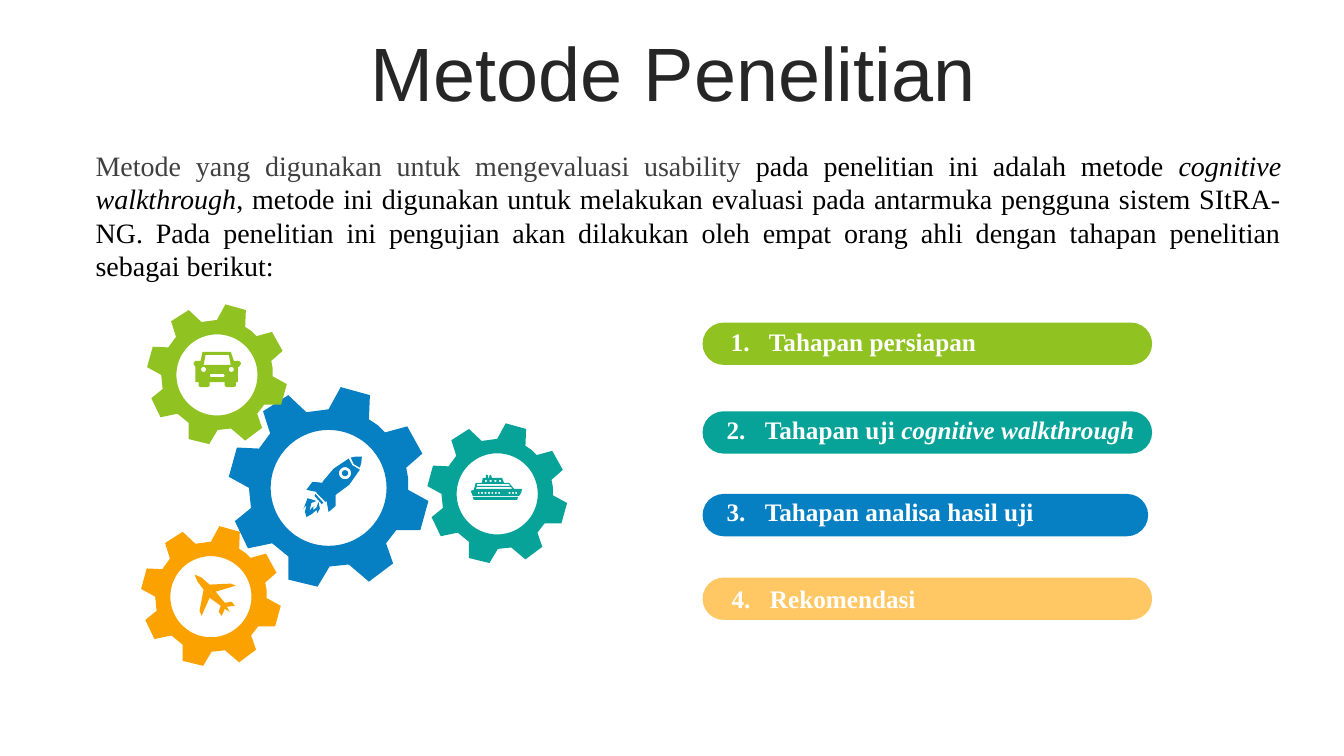
from dataclasses import dataclass
from math import cos, pi, sin

from lxml.etree import SubElement
from pptx import Presentation
from pptx.dml.color import RGBColor
from pptx.enum.shapes import MSO_SHAPE
from pptx.enum.text import MSO_ANCHOR, PP_ALIGN
from pptx.oxml.ns import qn
from pptx.util import Inches, Pt

CELL = Inches(0.1)
COLS, ROWS = 133.33, 75
COLORS = {
    "green": "90C221", "teal": "07A398", "blue": "0680C3", "orange": "FBA200",
    "sand": "FFC864", "title": "262626", "gray": "404040", "black": "000000",
    "white": "FFFFFF",
}
SERIF = "Times New Roman"
Points = list[tuple[float, float]]


@dataclass(frozen=True)
class Span:
    text: str
    color: str
    size: float
    font: str = SERIF
    bold: bool = False
    italic: bool = False


@dataclass(frozen=True)
class Step:
    color: str
    row: float
    text_col: float
    text_row: float
    label: str
    term: str = ""
    cols: float = 44.6


@dataclass(frozen=True)
class Figure:
    col: float
    row: float
    color: str
    outlines: list[Points]
    unit: float = 0.1


def cells(n: float) -> int:
    return round(n * CELL)


def rgb(name: str) -> RGBColor:
    return RGBColor.from_string(COLORS[name])


def points(text: str) -> Points:
    values = [float(v) for v in text.replace(",", " ").split()]
    return list(zip(values[::2], values[1::2]))


def circle(cx: float, cy: float, radius: float) -> Points:
    return [(cx + radius * cos(pi * i / 36), cy + radius * sin(pi * i / 36)) for i in range(72)]


def box(x: float, y: float, w: float, h: float) -> Points:
    return [(x, y), (x + w, y), (x + w, y + h), (x, y + h)]


GEAR = [
    points("111,0 140,8 139,32 148,38 155,45 177,39 192,66 176,80 178,91 178,102 198,113 "
           "190,142 166,142 156,155 163,175 139,193 119,176 100,178 88,198 59,191 59,168 "
           "43,155 19,160 6,133 22,120 20,100 0,89 8,60 30,61 41,46 34,24 59,8 77,25 99,22"),
    circle(99, 100, 57.5),
]
CAR = [
    points("9,0 37,0 40,9 45,9 47,11 47,12 45,15 44,15 44,30 42,30 42,34 40,35 33,35 31,34 "
           "31,30 16,30 16,34 14,35 7,35 5,34 5,30 2,30 2,15 0,12 0,11 2,9 7,9"),
    points("12,3 10,13 37,13 35,3"),
    points("17,22 16,23 17,25 30,25 31,24 30,22"),
    circle(10, 17.5, 2.5),
    circle(37.5, 17.5, 2.5),
]
SHIP = [
    points("19,0 20,0 21,3 31,3 33,8 38,8 43,14 51,14 50,18 48,21 2,21 0,16 3,15 5,8 11,8 "
           "12,3 15,3 15,0 17,0 17,3 18,3"),
    points("2,22 47,22 46,25 3,25"),
    points("6,12 5,14 41,14 40,12"),
    points("6,9 6,11 39,11 38,9"),
    *[box(7 + 3.4 * i, 17, 1.7, 2) for i in range(12) if i not in (7, 8)],
    *[box(14 + 4.7 * i, 5, 2, 2) for i in range(4)],
]
PLANE = [
    points("40,31 32,32 35,37 30,34 27,41 24,37 26,31 15,23 7,41 5,36 9,15 3,7 0,0 7,3 "
           "15,10 36,9 41,11 21,17 30,28 37,27"),
]
ROCKET = [
    points("14,47 9,49 7,57 9.6,53.5 13,52 11,53 11,56 14,53.5 16,48 17.4,54.6 15,59 "
           "14.4,57.6 14,56 9.5,60 4,63 2.5,57.5 4,52 2.5,52.6 1,55 5.2,44.3"),
    points("13,40 21,49 19,50 12,42"),
    points("46,5 49.6,11.6 57,16 46.5,31 33,41 33,52 26,58 24,47 23,48 14,39 14,38 4,36 "
           "10,28 20,29 20,28 31,15"),
    points("59,3 58.5,9 57,14 51,10.5 48,4 53,3"),
    circle(42.3, 19.5, 6),
    circle(42.3, 19.5, 3),
]

SMALL = 0.07
FIGURES = [
    Figure(22.7, 38.4, "blue", GEAR),
    Figure(42.4, 42, "teal", GEAR, SMALL),
    Figure(14.6, 30.2, "green", GEAR, SMALL),
    Figure(14, 52.2, "orange", GEAR, SMALL),
    Figure(19.2, 34.9, "green", CAR),
    Figure(46.7, 47.1, "teal", SHIP),
    Figure(19.3, 57, "orange", PLANE),
    Figure(30, 45, "blue", ROCKET),
]
STEPS = [
    Step("green", 32, 71.5, 31.9, "Tahapan persiapan"),
    Step("teal", 40.8, 71.1, 40.6, "Tahapan uji ", "cognitive walkthrough"),
    Step("blue", 49, 71.1, 48.7, "Tahapan analisa hasil uji", cols=44.2),
    Step("sand", 57.3, 71.6, 57.4, "Rekomendasi"),
]
INTRO = [
    Span("Metode yang digunakan untuk mengevaluasi usability ", "gray", 20),
    Span("pada penelitian ini adalah metode ", "black", 20),
    Span("cognitive walkthrough", "black", 20, italic=True),
    Span(", metode ini digunakan untuk melakukan evaluasi pada antarmuka pengguna sistem "
         "SItRA-NG. Pada penelitian ini pengujian akan dilakukan oleh empat orang ahli dengan "
         "tahapan penelitian sebagai berikut:", "black", 20),
]


def add_text(s, col: float, row: float, cols: float, rows: float, spans: list[Span],
             align=PP_ALIGN.LEFT):
    tf = s.shapes.add_textbox(cells(col), cells(row), cells(cols), cells(rows)).text_frame
    tf.word_wrap = True
    p = tf.paragraphs[0]
    p.alignment = align
    for span in spans:
        r = p.add_run()
        r.text = span.text
        r.font.name, r.font.size = span.font, Pt(span.size)
        r.font.bold, r.font.italic = span.bold, span.italic
        r.font.color.rgb = rgb(span.color)
    return tf


def paint(sp, color: str) -> None:
    sp.shadow.inherit = False
    sp.fill.solid()
    sp.fill.fore_color.rgb = rgb(color)
    sp.line.fill.background()


def add_step(s, number: int, step: Step) -> None:
    sp = s.shapes.add_shape(MSO_SHAPE.ROUNDED_RECTANGLE, cells(69.7), cells(step.row),
                            cells(step.cols), cells(4.2))
    sp.adjustments[0] = 0.5
    paint(sp, step.color)
    spans = [Span(step.label, "white", 18, bold=True)]
    if step.term:
        spans.append(Span(step.term, "white", 18, bold=True, italic=True))
    tf = add_text(s, step.text_col, step.text_row, 46.2, 4, spans)
    pPr = tf.paragraphs[0]._p.get_or_add_pPr()
    pPr.set("marL", str(cells(3.8)))
    pPr.set("indent", str(-cells(3.8)))
    SubElement(pPr, qn("a:buFont"), typeface="+mj-lt")
    SubElement(pPr, qn("a:buAutoNum"), type="arabicPeriod", startAt=str(number))


def add_figure(s, figure: Figure) -> None:
    outlines = [[(cells(figure.col + x * figure.unit), cells(figure.row + y * figure.unit))
                 for x, y in outline] for outline in figure.outlines]
    builder = s.shapes.build_freeform(*outlines[0][0])
    for i, outline in enumerate(outlines):
        if i:
            builder.move_to(*outline[0])
        builder.add_line_segments(outline[1:], close=True)
    paint(builder.convert_to_shape(), figure.color)


def main() -> None:
    prs = Presentation()
    prs.slide_width, prs.slide_height = cells(COLS), cells(ROWS)
    s = prs.slides.add_slide(prs.slide_layouts[6])
    title = add_text(s, 3.5, 3.7, 126.6, 7.9,
                     [Span("Metode Penelitian", "title", 54, "Arial")], PP_ALIGN.CENTER)
    title.vertical_anchor = MSO_ANCHOR.MIDDLE
    title.paragraphs[0].line_spacing = 0.9
    add_text(s, 8.5, 14.2, 119.6, 17.8, INTRO, PP_ALIGN.JUSTIFY)
    for number, step in enumerate(STEPS, 1):
        add_step(s, number, step)
    for figure in FIGURES:
        add_figure(s, figure)
    prs.save("out.pptx")


if __name__ == "__main__":
    main()
